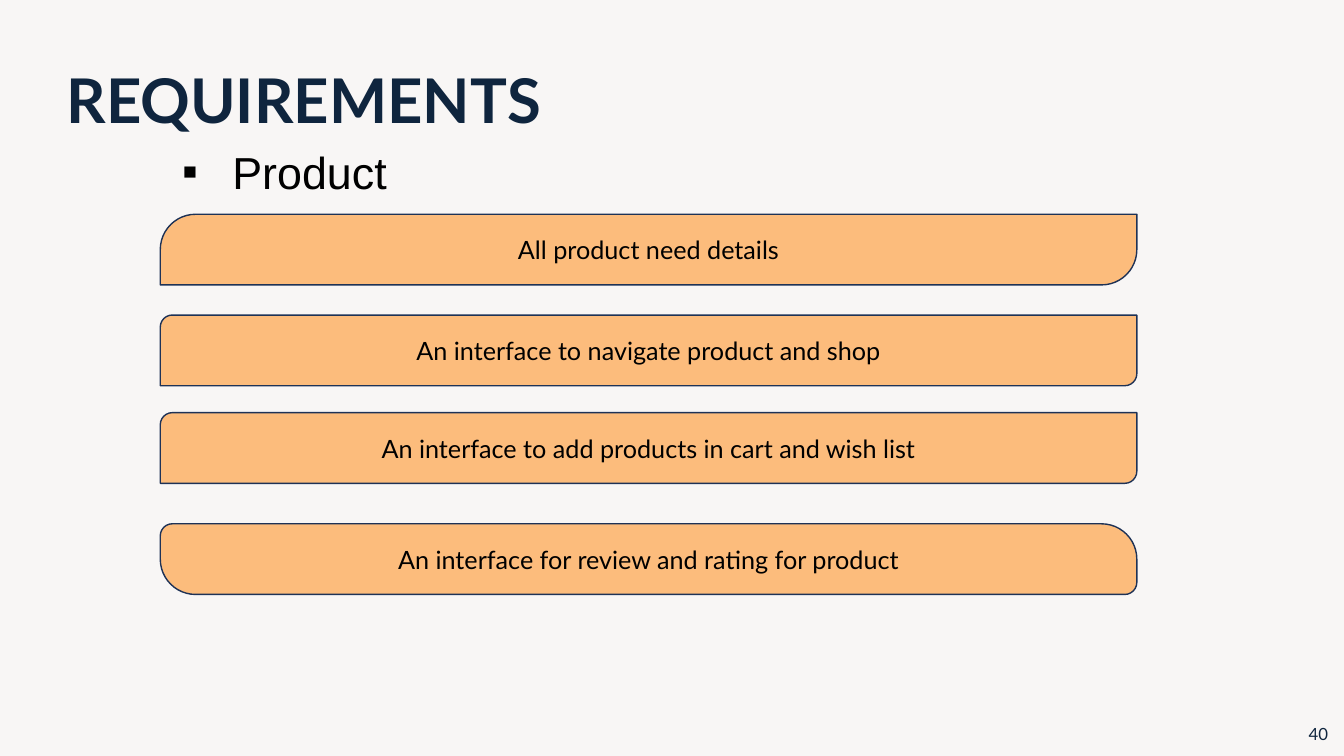
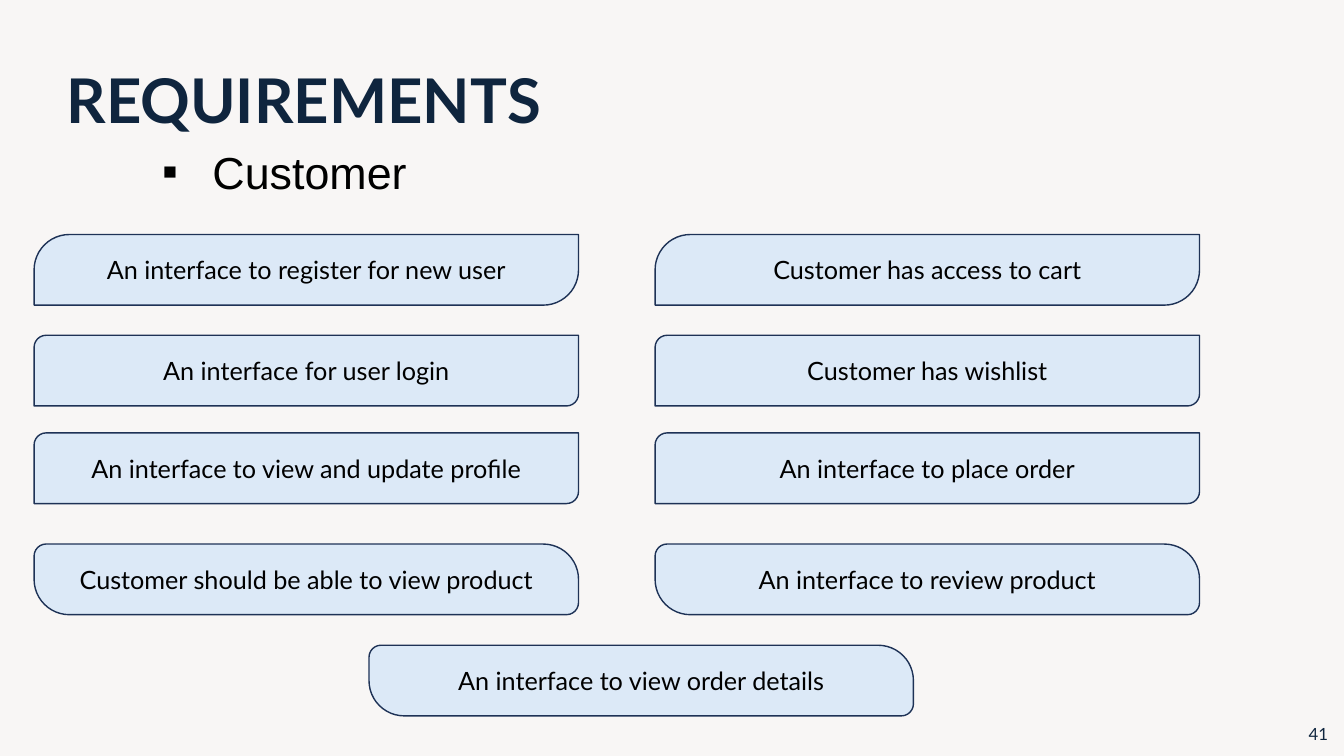
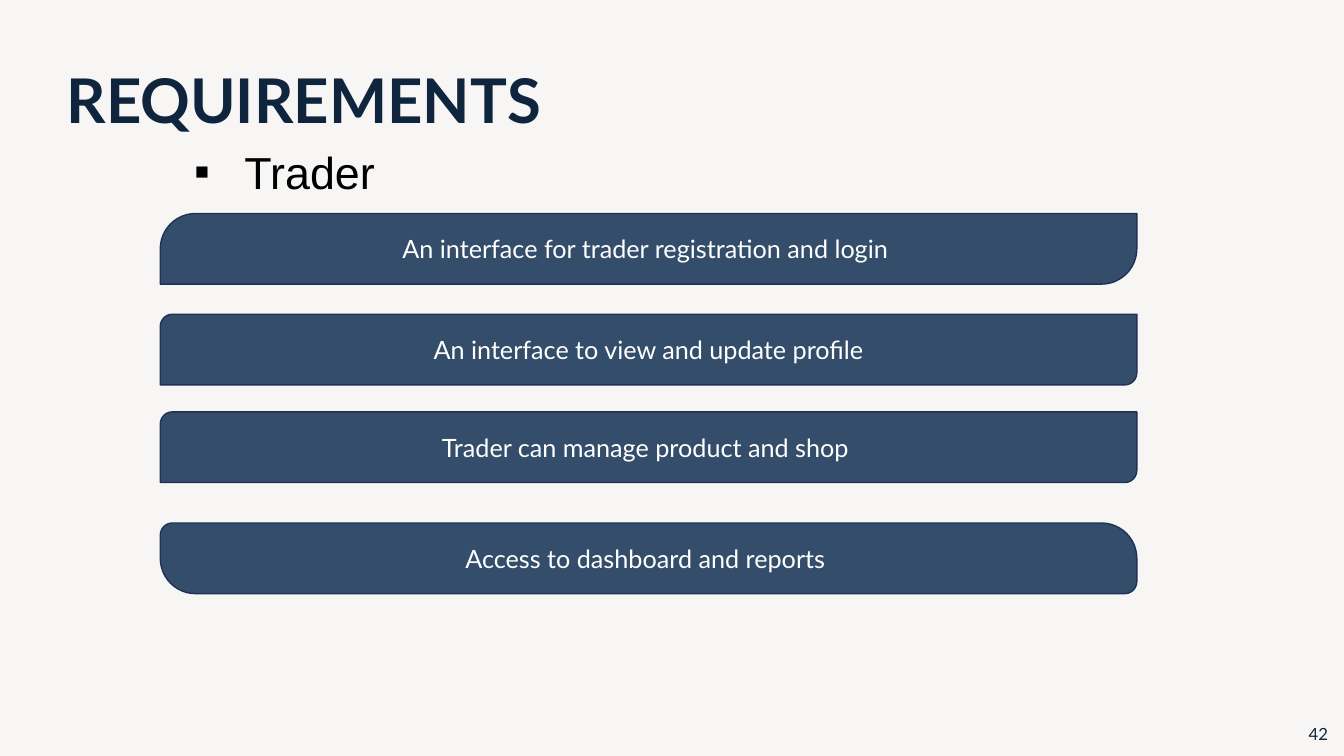
from dataclasses import dataclass

from lxml import etree
from pptx import Presentation
from pptx import util as u
from pptx.dml.color import RGBColor
from pptx.enum import shapes, text
from pptx.oxml import ns


@dataclass(frozen=True)
class Theme:
    paper: str = "F8F6F5"
    navy: str = "0F253E"
    outline: str = "1E3256"
    black: str = "000000"
    white: str = "FFFFFF"
    orange: str = "FCBC7C"
    pale_blue: str = "DCE9F7"
    slate: str = "334D6A"
    heading_font: str = "Lato"
    topic_font: str = "Arial"
    title_size: int = 44
    topic_size: int = 32
    card_size: int = 18
    number_size: int = 12


THEME = Theme()
CARD_HEIGHT = 1.78
ROW_OFFSETS = (0, 2.54, 5, 7.8, 10.35)
ROW_CORNERS = ((0.5, 0), (0.17, 0), (0.17, 0), (0.17, 0.5), (0.17, 0.5))


def assign(target, values):
    for name, value in values.items():
        setattr(target, name, value)


class Deck:
    def __init__(self, theme):
        self.theme = theme
        self.prs = Presentation()
        assign(self.prs, {"slide_width": u.Cm(33.87), "slide_height": u.Cm(19.05)})
        backdrop = self.prs.slide_master.background.fill
        backdrop.solid()
        backdrop.fore_color.rgb = RGBColor.from_string(theme.paper)
        self.slide = None

    def new_slide(self):
        self.slide = self.prs.slides.add_slide(self.prs.slide_layouts[1])

    def place(self, shape, *box):
        assign(shape, dict(zip(("left", "top", "width", "height"), map(u.Cm, box))))

    def set_text(self, shape, wording, size, color, font=None, bold=False,
                 align=text.PP_ALIGN.CENTER, anchor=text.MSO_ANCHOR.MIDDLE,
                 fit=text.MSO_AUTO_SIZE.NONE, spacing=1.0):
        frame = shape.text_frame
        assign(frame, {"word_wrap": True, "vertical_anchor": anchor, "auto_size": fit})
        paragraph = frame.paragraphs[0]
        assign(paragraph, {"alignment": align, "line_spacing": spacing,
                           "space_before": u.Pt(0)})
        run = paragraph.add_run()
        run.text = wording
        assign(run.font, {"name": font or self.theme.heading_font,
                          "size": u.Pt(size), "bold": bold})
        run.font.color.rgb = RGBColor.from_string(color)
        return paragraph

    def title(self, wording):
        heading = self.slide.shapes.title
        self.place(heading, 1.42, 0.76, 14.22, 3.68)
        self.set_text(heading, wording, self.theme.title_size, self.theme.navy,
                      bold=True, align=text.PP_ALIGN.LEFT, spacing=0.9)

    def topic(self, wording):
        body = self.slide.placeholders[1]
        self.place(body, -1.3, 3.51, 16.94, 2.39)
        paragraph = self.set_text(body, wording, self.theme.topic_size, self.theme.black,
                                  font=self.theme.topic_font, anchor=text.MSO_ANCHOR.TOP,
                                  fit=text.MSO_AUTO_SIZE.SHAPE_TO_FIT_TEXT)
        props = paragraph._p.get_or_add_pPr()
        props.set("marL", str(u.Cm(1.27)))
        props.set("indent", str(u.Cm(-1.27)))
        for tag, key, value in (("a:buFont", "typeface", self.theme.topic_font),
                                ("a:buChar", "char", "▪")):
            etree.SubElement(props, ns.qn(tag)).set(key, value)

    def page_number(self, number):
        corner = self.slide.shapes.add_textbox(
            *map(u.Cm, (32.59, 17.98, 1.27, 1.02)))
        self.set_text(corner, str(number), self.theme.number_size, self.theme.navy)

    def card(self, wording, left, top, width, corners, fill, ink):
        card = self.slide.shapes.add_shape(
            shapes.MSO_SHAPE.ROUND_2_DIAG_RECTANGLE,
            *map(u.Cm, (left, top, width, CARD_HEIGHT)))
        card.shadow.inherit = False
        for index, corner in enumerate(corners):
            card.adjustments[index] = corner
        card.fill.solid()
        card.fill.fore_color.rgb = RGBColor.from_string(fill)
        card.line.color.rgb = RGBColor.from_string(self.theme.outline)
        card.line.width = u.Pt(1)
        self.set_text(card, wording, self.theme.card_size, ink)

    def column(self, wordings, left, top, width, fill, ink, first_row=0):
        for row, wording in enumerate(wordings, first_row):
            self.card(wording, left, top + ROW_OFFSETS[row], width,
                      ROW_CORNERS[row], fill, ink)


WIDE = {"left": 4.04, "top": 5.4, "width": 24.61}
NARROW = {"top": 5.91, "width": 13.72}

REQUIREMENTS = (
    ("Product", THEME.orange, THEME.black, (
        (WIDE, (
            "All product need details",
            "An interface to navigate product and shop",
            "An interface to add products in cart and wish list",
            "An interface for review and rating for product")),
    )),
    ("Customer", THEME.pale_blue, THEME.black, (
        ({**NARROW, "left": 0.86}, (
            "An interface to register for new user",
            "An interface for user login",
            "An interface to view and update profile",
            "Customer should be able to view product")),
        ({**NARROW, "left": 16.51}, (
            "Customer has access to cart",
            "Customer has wishlist",
            "An interface to place order",
            "An interface to review product")),
        ({**NARROW, "left": 9.3, "first_row": 4}, (
            "An interface to view order details",)),
    )),
    ("Trader", THEME.slate, THEME.white, (
        ({**WIDE, "top": 5.38}, (
            "An interface for trader registration and login ",
            "An interface to view and update profile",
            "Trader can manage product and shop ",
            "Access to dashboard and reports ")),
    )),
)


def main():
    deck = Deck(THEME)
    for number, (topic, fill, ink, columns) in enumerate(REQUIREMENTS, 40):
        deck.new_slide()
        deck.title("REQUIREMENTS")
        deck.page_number(number)
        deck.topic(topic)
        for layout, wordings in columns:
            deck.column(wordings, fill=fill, ink=ink, **layout)
    deck.prs.save("out.pptx")


if __name__ == "__main__":
    main()
